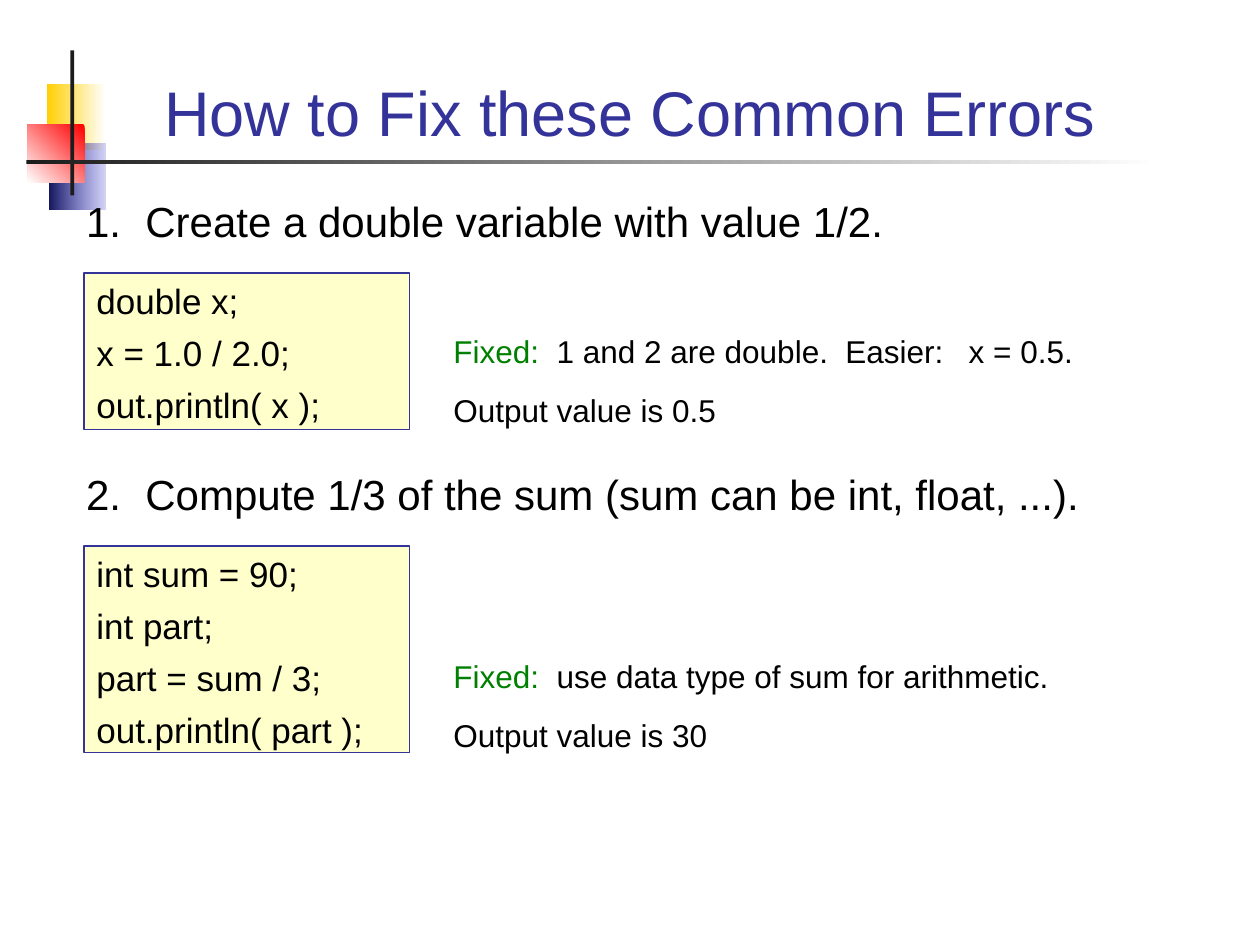
from dataclasses import dataclass

from lxml.etree import SubElement
from pptx import Presentation
from pptx.dml.color import RGBColor
from pptx.enum.shapes import MSO_SHAPE as Shape
from pptx.enum.text import MSO_ANCHOR as Anchor, MSO_AUTO_SIZE as AutoSize, PP_ALIGN as Align
from pptx.oxml.ns import qn
from pptx.util import Emu, Inches, Pt

COLUMNS, ROWS = 120, 90


@dataclass(frozen=True)
class Theme:
    font: str = "Arial"
    title_size: float = 36
    heading_size: float = 24
    code_size: float = 20
    note_size: float = 18
    code_gap: float = 5.8
    note_gap: float = 12.2
    ink: str = "000000"
    primary: str = "333399"
    fixed: str = "008000"
    code_fill: str = "FFFFCC"
    white: str = "FFFFFF"
    yellow: str = "FFCF01"
    red: str = "FF0000"
    navy: str = "17175E"
    blue: str = "3333CC"
    bar: str = "1C1C1C"


def rgb(code):
    return RGBColor.from_string(code)


def write(frame, lines, *, font, size, color, gap=0, align=Align.LEFT,
          anchor=Anchor.TOP, number=None, tabs=()):
    """Fill a frame with lines, each a list of (text, colour or None) runs."""
    frame.word_wrap = True
    frame.auto_size = AutoSize.NONE
    frame.vertical_anchor = anchor
    for index, line in enumerate(lines):
        paragraph = frame.add_paragraph() if index else frame.paragraphs[0]
        paragraph.alignment = align
        paragraph.space_before = Pt(gap if index else 0)
        properties = paragraph._p.get_or_add_pPr()
        if number:
            indent = Inches(0.47)
            properties.set("marL", str(indent))
            properties.set("indent", str(-indent))
            SubElement(properties, qn("a:buFont"), typeface=font)
            SubElement(properties, qn("a:buAutoNum"), type="arabicPeriod", startAt=str(number))
        if tabs:
            stops = SubElement(properties, qn("a:tabLst"))
            for stop in tabs:
                SubElement(stops, qn("a:tab"), pos=str(Inches(stop)), algn="l")
        for text, run_color in line:
            run = paragraph.add_run()
            run.text = text
            run.font.name = font
            run.font.size = Pt(size)
            run.font.color.rgb = rgb(run_color or color)


class SlideBuilder:
    """Holds the theme and the current slide; lengths are grid columns and rows."""

    def __init__(self, deck, theme):
        self.theme = theme
        self.slide = deck.slides.add_slide(deck.slide_layouts[3])
        self.column = deck.slide_width / COLUMNS
        self.row = deck.slide_height / ROWS

    def area(self, left, top, width, height):
        return [Emu(round(length * unit)) for length, unit in
                zip((left, top, width, height), (self.column, self.row) * 2)]

    def box(self, area, fill=None):
        block = self.slide.shapes.add_shape(Shape.RECTANGLE, *self.area(*area))
        block.shadow.inherit = False
        block.line.fill.background()
        if fill:
            block.fill.solid()
            block.fill.fore_color.rgb = rgb(fill)
        return block

    def fade(self, area, start, end, angle=0, end_opacity=100):
        block = self.box(area)
        block.fill.gradient()
        block.fill.gradient_angle = angle
        for stop, color, position in zip(block.fill.gradient_stops, (start, end), (0, 1)):
            stop.color.rgb = rgb(color)
            stop.position = position
        if end_opacity < 100:
            end_color = block._element.spPr.findall(".//" + qn("a:srgbClr"))[-1]
            SubElement(end_color, qn("a:alpha"), val=str(end_opacity * 1000))

    def placeholder(self, index, area, text, **style):
        holder = self.slide.placeholders[index]
        holder.left, holder.top, holder.width, holder.height = self.area(*area)
        holder._element.getparent().append(holder._element)
        write(holder.text_frame, [[(text, None)]], font=self.theme.font, **style)

    def title(self, area, text):
        self.placeholder(0, area, text, size=self.theme.title_size, color=self.theme.primary,
                         align=Align.CENTER, anchor=Anchor.BOTTOM)

    def heading(self, number, top, text):
        self.placeholder(number, (7, top, 101, 6), text, size=self.theme.heading_size,
                         color=self.theme.ink, number=number)

    def code(self, top, height, lines):
        theme = self.theme
        listing = self.box((8, top, 31, height), theme.code_fill)
        listing.line.color.rgb = rgb(theme.primary)
        listing.line.width = Pt(0.75)
        write(listing.text_frame, [[(line, None)] for line in lines], font=theme.font,
              size=theme.code_size, color=theme.ink, gap=theme.code_gap)

    def note(self, top, fix, output):
        theme = self.theme
        remark = self.slide.shapes.add_textbox(*self.area(42, top, 72, 10.3))
        write(remark.text_frame, [[("Fixed:", theme.fixed), ("\t" + fix, None)], [(output, None)]],
              font=theme.font, size=theme.note_size, color=theme.ink,
              gap=theme.note_gap, tabs=(0.82, 4.09))

    def decoration(self):
        theme = self.theme
        self.fade((4.44, 8.04, 5.64, 6.24), theme.yellow, theme.white)
        self.fade((4.68, 13.68, 5.4, 6.24), theme.navy, theme.blue, end_opacity=20)
        self.fade((2.64, 11.88, 5.4, 5.52), theme.red, theme.white, angle=225)
        self.box((6.72, 4.8, 0.36, 13.8), theme.bar)
        self.fade((2.52, 15.24, 107.88, 0.36), theme.bar, theme.white)


def main():
    deck = Presentation()
    deck.slide_width, deck.slide_height = Inches(10), Inches(7.5)
    page = SlideBuilder(deck, Theme())
    page.decoration()
    page.title((8, 3.4, 104, 11.4), "How to Fix these Common Errors")

    page.heading(1, 18, "Create a double variable with value 1/2.")
    page.code(26, 14.9, ["double x;", "x = 1.0 / 2.0;", "out.println( x );"])
    page.note(31, "1 and 2 are double.  Easier:\tx = 0.5.", "Output value is 0.5")

    page.heading(2, 44, "Compute 1/3 of the sum (sum can be int, float, ...).")
    page.code(52, 19.7, ["int sum = 90;", "int part;", "part = sum / 3;", "out.println( part );"])
    page.note(62, "use data type of sum for arithmetic.", "Output value is 30")
    deck.save("out.pptx")


if __name__ == "__main__":
    main()
